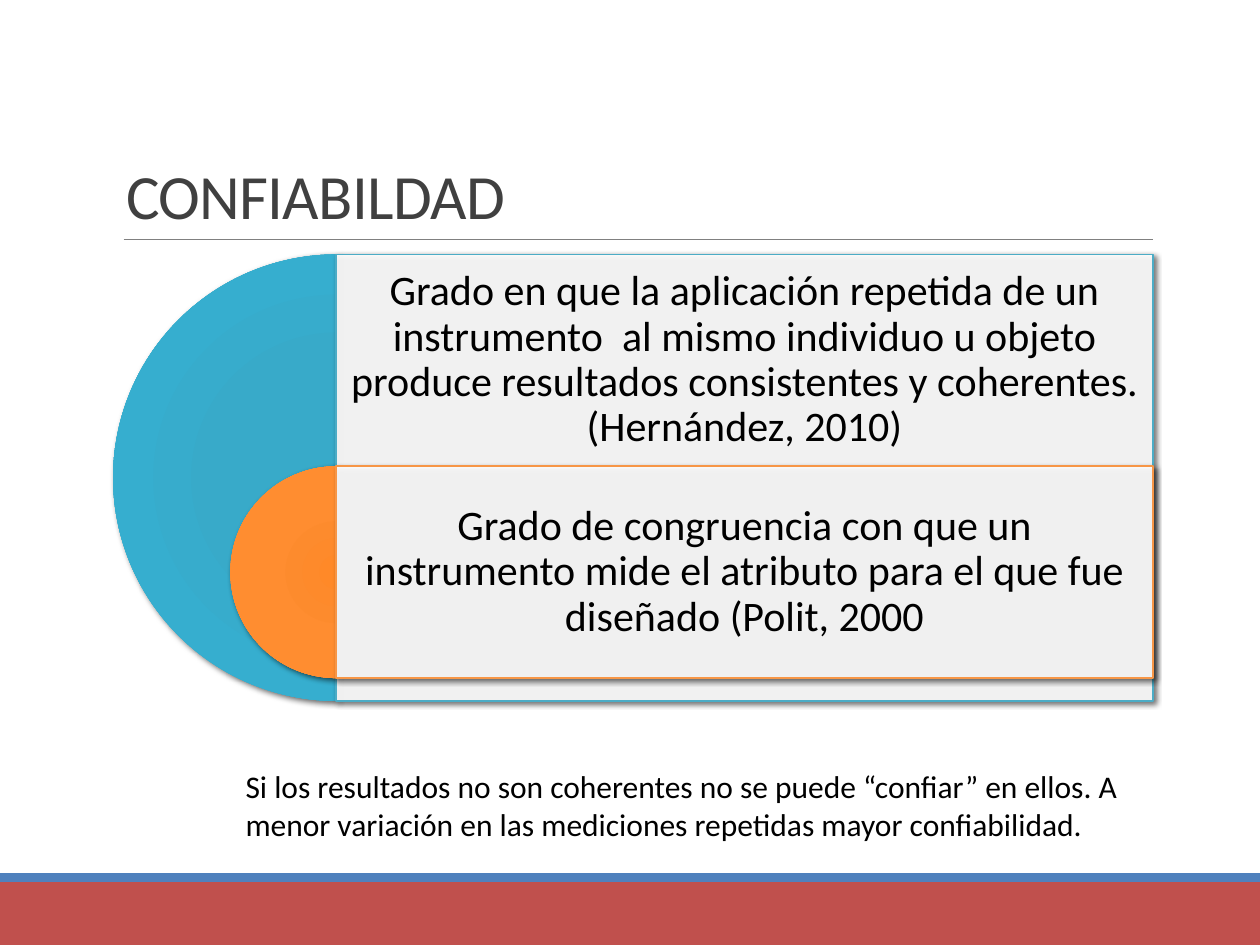
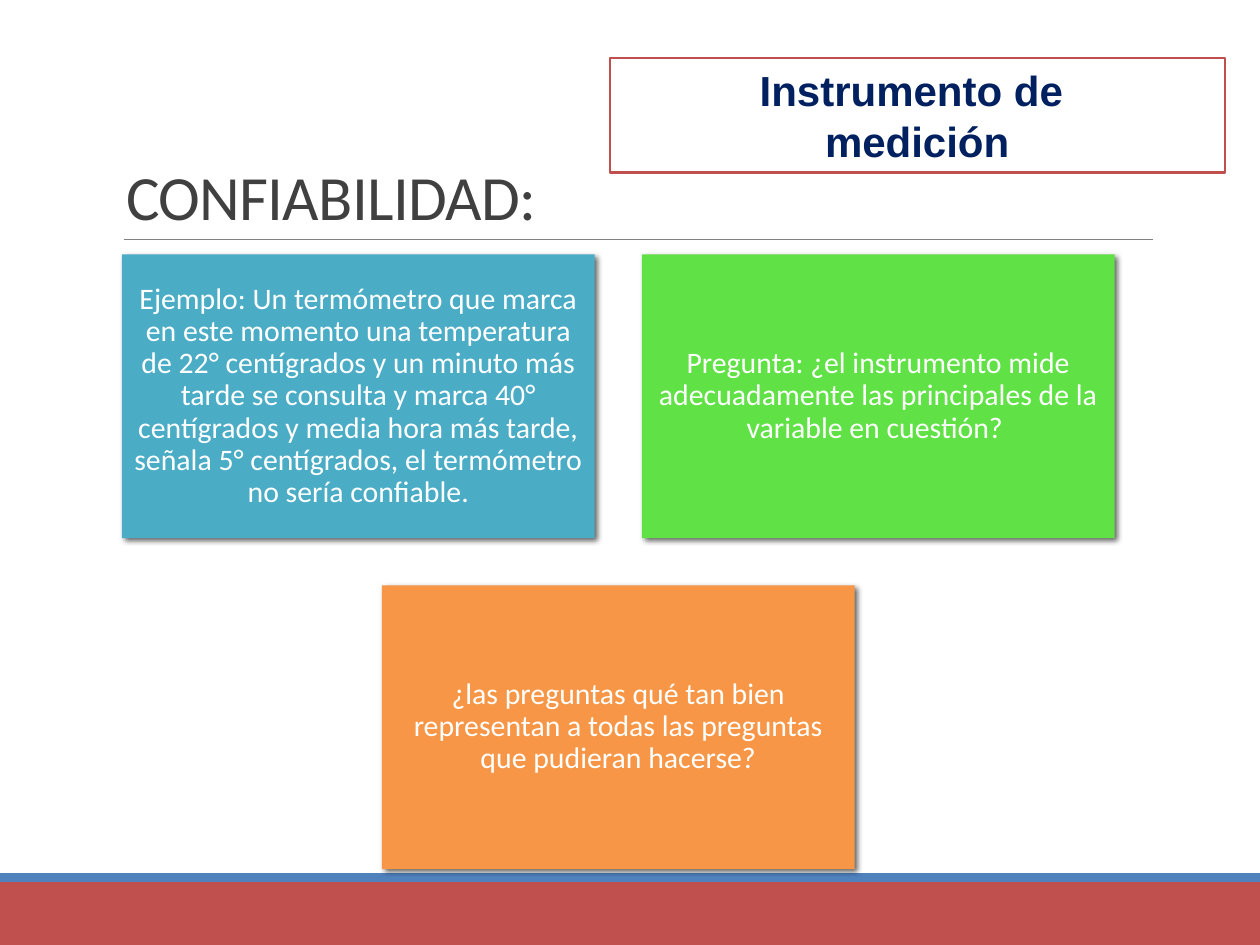
from lxml import etree
from pptx import Presentation
from pptx.dml.color import RGBColor
from pptx.enum.shapes import MSO_CONNECTOR, MSO_SHAPE
from pptx.enum.text import MSO_ANCHOR, MSO_AUTO_SIZE, PP_ALIGN
from pptx.oxml import parse_xml
from pptx.oxml.ns import nsdecls, qn
from pptx.util import Cm, Pt

RECT, PIE = MSO_SHAPE.RECTANGLE, MSO_SHAPE.PIE
LINE = MSO_CONNECTOR.STRAIGHT
LEFT, CENTER = PP_ALIGN.LEFT, PP_ALIGN.CENTER
MIDDLE, BOTTOM = MSO_ANCHOR.MIDDLE, MSO_ANCHOR.BOTTOM

WHITE = RGBColor(0xFF, 0xFF, 0xFF)
BLACK = RGBColor(0x00, 0x00, 0x00)
RED = RGBColor(0xC0, 0x50, 0x4D)
BLUE = RGBColor(0x4F, 0x81, 0xBD)
NAVY = RGBColor(0x00, 0x20, 0x60)
TEAL = RGBColor(0x4B, 0xAC, 0xC6)
GREEN = RGBColor(0x60, 0xE1, 0x46)
ORANGE = RGBColor(0xF7, 0x96, 0x46)
GREY = RGBColor(0x80, 0x80, 0x80)
DARK = RGBColor(0x40, 0x40, 0x40)


def draw(slide, kind, x, y, w, h, fill, line=None, width=1, blur=0):
    """Add a filled shape; blur (points) gives it a soft shadow."""
    shape = slide.shapes.add_shape(kind, Cm(x), Cm(y), Cm(w), Cm(h))
    shape.shadow.inherit = False
    shape.fill.solid()
    shape.fill.fore_color.rgb = fill
    if line is None:
        shape.line.fill.background()
    else:
        shape.line.color.rgb = line
        shape.line.width = Pt(width)
    if blur:
        effects = shape._element.spPr.find(qn("a:effectLst"))
        effects.append(parse_xml(
            f'<a:outerShdw {nsdecls("a")} blurRad="{Pt(blur)}" dist="{Pt(2)}" '
            'dir="2700000" algn="tl" rotWithShape="0"><a:srgbClr val="000000">'
            '<a:alpha val="60000"/></a:srgbClr></a:outerShdw>'))
    return shape


def write(slide, x, y, w, h, text, size, color, align=CENTER, inset=0.25, space=0.9):
    """Add a wrapping text box, centred vertically."""
    frame = slide.shapes.add_textbox(Cm(x), Cm(y), Cm(w), Cm(h)).text_frame
    frame.word_wrap = True
    frame.vertical_anchor = MIDDLE
    frame.margin_left = frame.margin_right = Cm(inset)
    frame.margin_top = frame.margin_bottom = Cm(min(inset, 0.18))
    par = frame.paragraphs[0]
    par.text = text
    par.alignment, par.line_spacing = align, space
    par.font.name, par.font.size, par.font.color.rgb = "Calibri", Pt(size), color


deck = Presentation()
deck.slide_width, deck.slide_height = Cm(25.4), Cm(19.05)

# Shared frame: bands, rule and title
for name, top, high in [("CONFIABILDAD", 2.92, 1.9), ("CONFIABILIDAD:", 0.79, 4.04)]:
    slide = deck.slides.add_slide(deck.slide_layouts[5])
    draw(slide, RECT, 0, 17.78, 25.4, 1.27, RED)
    draw(slide, RECT, 0, 17.6, 25.4, 0.18, BLUE)
    rule = slide.shapes.add_connector(LINE, Cm(2.49), Cm(4.83), Cm(23.24), Cm(4.83))
    rule.line.color.rgb, rule.line.width = GREY, Pt(0.5)
    etree.SubElement(rule._element.spPr, qn("a:effectLst"))

    title = slide.shapes.title
    title.left, title.top, title.width, title.height = Cm(2.29), Cm(top), Cm(20.96), Cm(high)
    frame = title.text_frame
    frame.text = name
    frame.auto_size = MSO_AUTO_SIZE.NONE
    frame.vertical_anchor = BOTTOM
    par = frame.paragraphs[0]
    par.alignment, par.line_spacing = LEFT, 0.85
    par.font.name, par.font.size, par.font.color.rgb = "Calibri", Pt(36), DARK
    par.runs[0]._r.get_or_add_rPr().set("spc", "-40")

first, second = deck.slides

# Definitions: half discs with panels on a common axis
axis, wide, step = 6.78, 16.46, 4.27
levels = [
    (5.13, 9, TEAL, ["35AACA", "38AAC9", "36AECF", "45B0CC"],
     "Grado en que la aplicación repetida de un instrumento  al mismo individuo u objeto "
     "produce resultados consistentes y coherentes. (Hernández, 2010)"),
    (9.4, step, ORANGE, ["FF8928", "FD8B2D", "FF8D30", "FF953E"],
     "Grado de congruencia con que un instrumento mide el atributo para el que fue "
     "diseñado (Polit, 2000"),
]
for top, size, color, shades, text in levels:
    disc = draw(first, PIE, axis - size / 2, top, size, size, color, blur=3.5)
    disc.adjustments[0], disc.adjustments[1] = 54, 162
    stops = "".join(f'<a:gs pos="{pos}000"><a:srgbClr val="{shade}"/></a:gs>'
                    for pos, shade in zip((0, 34, 70, 100), shades))
    props = disc._element.spPr
    props.replace(props.find(qn("a:solidFill")), parse_xml(
        f'<a:gradFill {nsdecls("a")} rotWithShape="1"><a:gsLst>{stops}</a:gsLst>'
        '<a:path path="circle"><a:fillToRect l="100000" t="100000" r="100000" b="100000"/>'
        '</a:path></a:gradFill>'))

    panel = draw(first, RECT, axis, top, wide, size, WHITE, color, blur=3)
    tint = panel._element.spPr.find(qn("a:solidFill"))[0]
    etree.SubElement(tint, qn("a:alpha"), val="90000")
    write(first, axis, top, wide, step, text, 24, BLACK)

# Closing note
write(first, 4.7, 15.32, 19.89, 1.8,
      "Si los resultados no son coherentes no se puede “confiar” en ellos. A menor "
      "variación en las mediciones repetidas mayor confiabilidad.",
      18, BLACK, align=LEFT, space=1)

# Topic label
label = draw(second, RECT, 12.29, 1.17, 12.4, 2.31, WHITE, RED, 1.25)
label.text_frame.text = "Instrumento de \nmedición"
for par in label.text_frame.paragraphs:
    par.alignment = CENTER
    par.font.name, par.font.size, par.font.bold = "Arial", Pt(24), True
    par.font.color.rgb = NAVY

# Cards: two above, one centred below
wide, high, gap = 9.53, 5.72, 0.95
cards = [
    (0, 0, TEAL,
     "Ejemplo: Un termómetro que marca en este momento una temperatura de 22° centígrados "
     "y un minuto más tarde se consulta y marca 40° centígrados y media hora más tarde, "
     "señala 5° centígrados, el termómetro no sería confiable."),
    (1, 0, GREEN,
     "Pregunta: ¿el instrumento mide adecuadamente las principales de la variable en "
     "cuestión? "),
    (0.5, 1, ORANGE,
     "¿las preguntas qué tan bien representan a todas las preguntas que pudieran hacerse?"),
]
for col, row, color, text in cards:
    spot = 2.46 + col * (wide + gap), 5.13 + row * (high + gap), wide, high
    draw(second, RECT, *spot, color, blur=3)
    write(second, *spot, text, 17, WHITE, inset=0.18)

deck.save("out.pptx")
